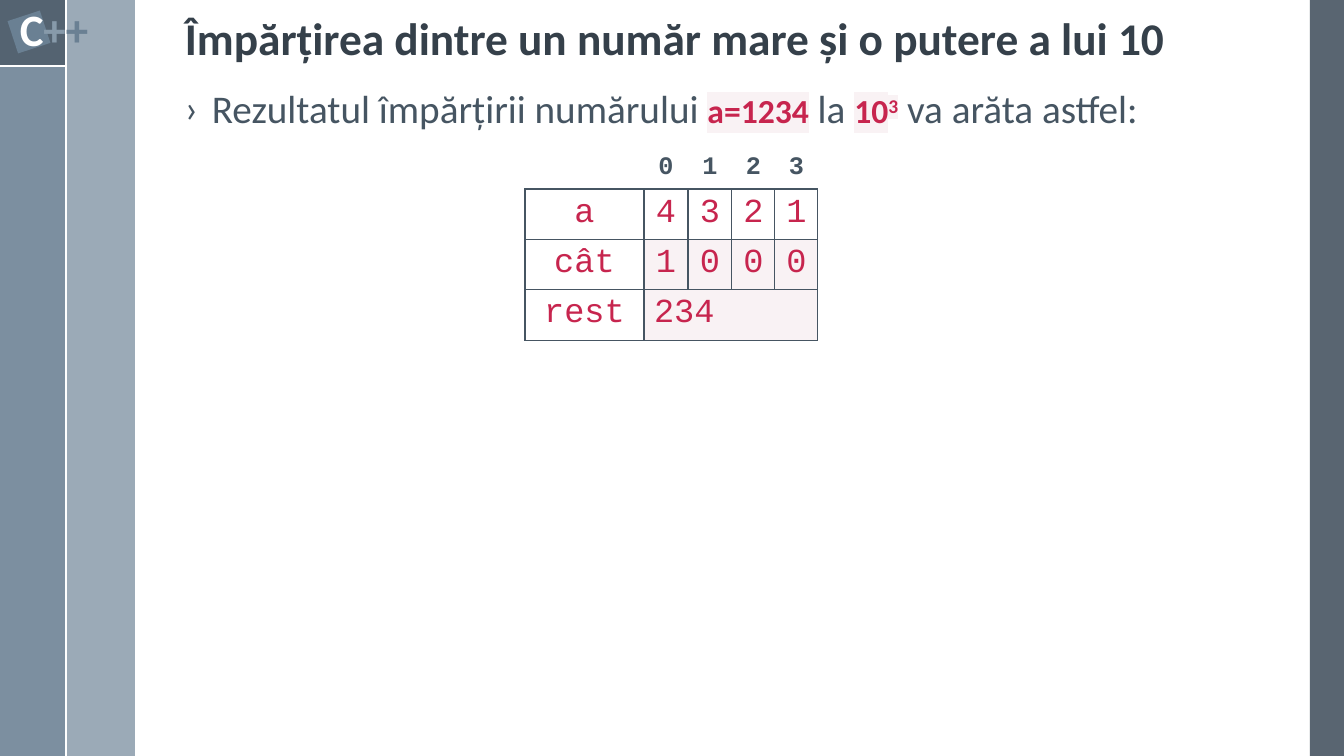
from dataclasses import dataclass

from lxml import etree
from pptx import Presentation
from pptx.dml.color import RGBColor
from pptx.enum.shapes import MSO_CONNECTOR, MSO_SHAPE
from pptx.enum.text import MSO_ANCHOR, PP_ALIGN
from pptx.oxml.ns import qn
from pptx.util import Pt

RECT = MSO_SHAPE.RECTANGLE
LINE = MSO_CONNECTOR.STRAIGHT
CENTER, LEFT = PP_ALIGN.CENTER, PP_ALIGN.LEFT
BOTTOM, TOP = MSO_ANCHOR.BOTTOM, MSO_ANCHOR.TOP
UNIT = 914400 / 100.8


@dataclass(frozen=True)
class Theme:
    sans: str = "Calibri"
    mono: str = "Courier New"
    white: str = "FFFFFF"
    dark: str = "475562"
    steel: str = "6A8093"
    pale: str = "9BAAB7"
    plus: str = "879AAA"
    title: str = "35404A"
    text: str = "465562"
    code: str = "C7254E"
    tint: str = "F9F2F4"
    head_pt: float = 32.4
    mark_pt: int = 32
    body_pt: int = 28
    code_pt: int = 24
    index_pt: int = 18


THEME = Theme()


def px(n):
    return round(n * UNIT)


def rgb(code):
    return RGBColor.from_string(code)


def add_color(parent, tag, code):
    """Append a colour holder such as a:solidFill or a:highlight."""
    holder = etree.SubElement(parent, qn(tag))
    return etree.SubElement(holder, qn("a:srgbClr"), val=code)


def style(run, size, color, bold=False, font=THEME.sans, tint=None, raised=False):
    face = run.font
    face.size, face.bold = Pt(size), bold
    face.color.rgb = rgb(color)
    props = face._element
    if tint:
        add_color(props, "a:highlight", tint)
    if raised:
        props.set("baseline", "30000")
    face.name = font


def add_bar(slide, box, color, alpha=100):
    bar = slide.shapes.add_shape(RECT, *map(px, box))
    bar.shadow.inherit = False
    bar.fill.solid()
    bar.fill.fore_color.rgb = rgb(color)
    bar.line.fill.background()
    if alpha < 100:
        tone = bar._element.spPr.find(qn("a:solidFill"))[0]
        etree.SubElement(tone, qn("a:alpha"), val=str(alpha * 1000))
    return bar


def add_rule(slide, *ends):
    rule = slide.shapes.add_connector(LINE, *map(px, ends))
    rule.line.color.rgb = rgb(THEME.white)
    rule.line.width = Pt(1.5)
    etree.SubElement(rule._element.spPr, qn("a:effectLst"))


def add_text(slide, box, parts, anchor=TOP, wrap=True):
    """Write one paragraph from (text, style) pairs; return its frame."""
    frame = slide.shapes.add_textbox(*map(px, box)).text_frame
    frame.word_wrap, frame.vertical_anchor = wrap, anchor
    line = frame.paragraphs[0]
    for words, look in parts:
        run = line.add_run()
        run.text = words
        style(run, **look)
    return frame


def draw_frame(slide, box):
    x, y, w, h = box
    side = 67
    add_bar(slide, (x + w - 34, y, 34, h), THEME.dark, 90)
    add_bar(slide, (x + side, y, 68, h), THEME.pale)
    add_bar(slide, (x, y, side, h), THEME.steel, 88)
    add_bar(slide, (x, y, side, side), THEME.dark, 75)
    add_rule(slide, x, y + 66, x + side, y + 66)
    add_rule(slide, x + 66, y, x + 66, y + h)


def draw_mark(slide, box):
    x, y, w, h = box
    tile = add_bar(slide, (x - 7, y + 13, 34, 34), THEME.steel)
    tile.rotation = 341.9
    colors = (THEME.white, THEME.plus, THEME.steel)
    parts = [(sign, dict(size=THEME.mark_pt, color=color, bold=True))
             for sign, color in zip("C++", colors)]
    frame = add_text(slide, box, parts, wrap=False)
    frame.margin_left = frame.margin_right = 0
    frame.margin_top = frame.margin_bottom = 0
    frame.paragraphs[0].alignment = CENTER


def draw_title(slide, box):
    look = dict(size=THEME.head_pt, color=THEME.title, bold=True)
    words = "Împărțirea dintre un număr mare și o putere a lui 10"
    frame = add_text(slide, box, [(words, look)], BOTTOM)
    frame.paragraphs[0].line_spacing = 0.9


def draw_body(slide, box):
    plain = dict(size=THEME.body_pt, color=THEME.text)
    code = dict(size=THEME.code_pt, color=THEME.code, bold=True, tint=THEME.tint)
    frame = add_text(slide, box, [
        ("Rezultatul împărțirii numărului ", plain),
        ("a=1234", code),
        (" la ", plain),
        ("10", code),
        ("3", code | dict(raised=True)),
        (" va arăta astfel:", plain),
    ])
    line = frame.paragraphs[0]
    line.line_spacing, line.space_before = 0.9, Pt(14)
    props = line._p.get_or_add_pPr()
    props.set("marL", str(px(27)))
    props.set("indent", str(px(-27)))
    add_color(props, "a:buClr", THEME.text)
    etree.SubElement(props, qn("a:buFont"), typeface=THEME.sans)
    etree.SubElement(props, qn("a:buChar"), char="›")


def set_border(cell, shown):
    props = cell._tc.get_or_add_tcPr()
    for side in "LRTB":
        edge = etree.SubElement(props, qn(f"a:ln{side}"), w=str(Pt(1)))
        if side in shown:
            add_color(edge, "a:solidFill", THEME.text)
        else:
            etree.SubElement(edge, qn("a:noFill"))


def fill_cell(cell, words, head, tinted, align):
    set_border(cell, "B" if head else "LRTB")
    if tinted:
        cell.fill.solid()
        cell.fill.fore_color.rgb = rgb(THEME.tint)
    else:
        cell.fill.background()
    line = cell.text_frame.paragraphs[0]
    line.text = words
    line.alignment = align
    size, color = ((THEME.index_pt, THEME.text) if head
                   else (THEME.code_pt, THEME.code))
    for run in line.runs:
        style(run, size, color, head, THEME.mono)


def draw_digits(slide, box):
    rows = [["", *"0123"], ["a", *"4321"], ["cât", *"1000"],
            ["rest", "234", "", "", ""]]
    widths, heights = (119, 44, 44, 43, 43), (41, 49, 50, 49)
    last = len(rows) - 1
    grid = slide.shapes.add_table(len(rows), len(widths), *map(px, box)).table
    grid.first_row = grid.horz_banding = False
    for col, width in zip(grid.columns, widths):
        col.width = px(width)
    for row, height in zip(grid.rows, heights):
        row.height = px(height)
    for r, row in enumerate(rows):
        for c, words in enumerate(row):
            align = LEFT if r == last and c else CENTER
            fill_cell(grid.cell(r, c), words, r == 0, r > 1 and c > 0, align)
    grid.cell(last, 1).merge(grid.cell(last, len(widths) - 1))


def main():
    deck = Presentation()
    deck.slide_width, deck.slide_height = px(1344), px(756)
    slide = deck.slides.add_slide(deck.slide_layouts[6])
    draw_frame(slide, (0, 0, 1344, 756))
    draw_mark(slide, (19, 2, 70, 54))
    draw_title(slide, (175, 5, 1079, 65))
    draw_body(slide, (175, 85, 1079, 596))
    draw_digits(slide, (525, 148, 293, 189))
    deck.save("out.pptx")


if __name__ == "__main__":
    main()
